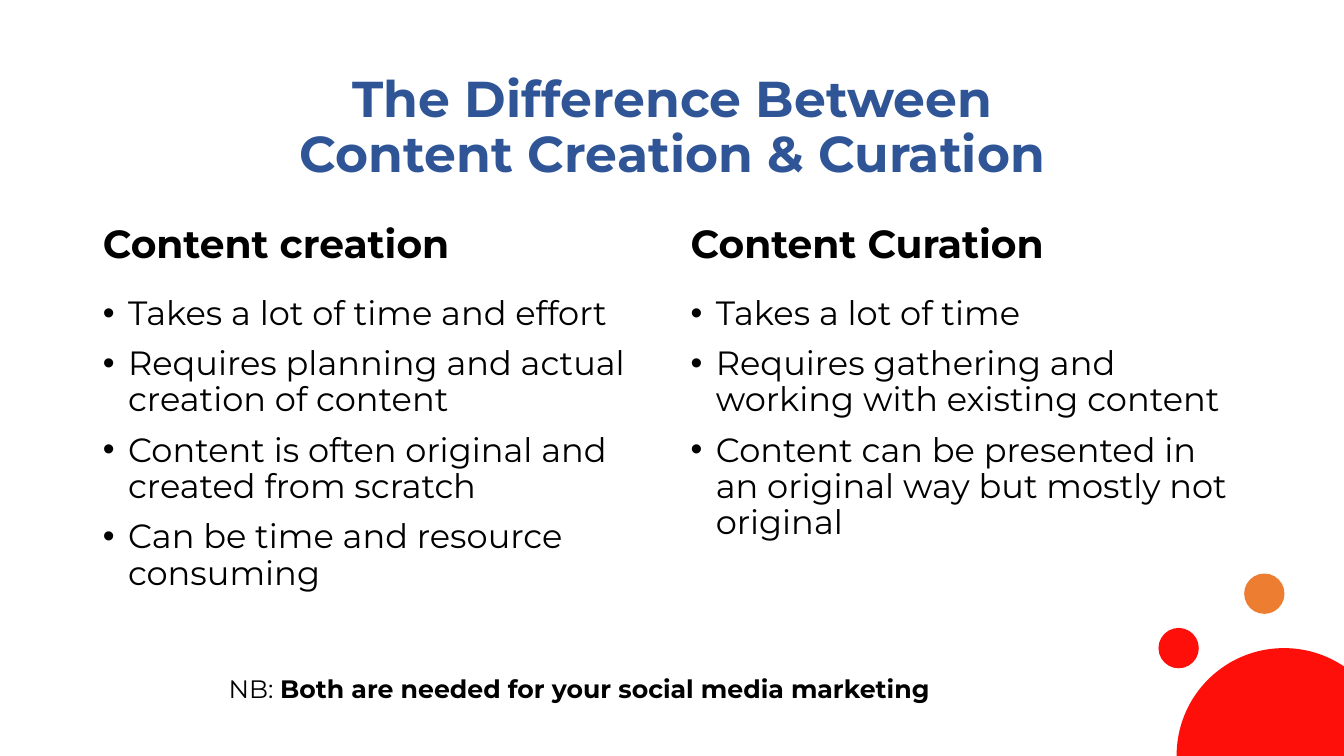
from lxml import etree
from pptx import Presentation
from pptx.dml.color import RGBColor
from pptx.enum.shapes import MSO_SHAPE
from pptx.enum.text import MSO_ANCHOR, MSO_AUTO_SIZE, PP_ALIGN
from pptx.oxml.ns import qn
from pptx.util import Inches, Pt

OVAL = MSO_SHAPE.OVAL
TOP, MIDDLE, BOTTOM = MSO_ANCHOR.TOP, MSO_ANCHOR.MIDDLE, MSO_ANCHOR.BOTTOM
CENTER, LEFT = PP_ALIGN.CENTER, PP_ALIGN.LEFT
NO_FIT = MSO_AUTO_SIZE.NONE
COMPARISON_LAYOUT = 4
FONT = "Montserrat"
COLORS = {"title": "2F5597", "text": "000000", "red": "FE0F09", "orange": "ED7D31"}

TITLE_LINES = ["The Difference Between", "Content Creation & Curation"]
# left, width, heading, points
COLUMNS = [
    (0.92, 5.64, "Content creation", [
        "Takes a lot of time and effort",
        "Requires planning and actual creation of content",
        "Content is often original and created from scratch",
        "Can be time and resource consuming",
    ]),
    (6.75, 5.67, "Content Curation", [
        "Takes a lot of time",
        "Requires gathering and working with existing content",
        "Content can be presented in an original way but mostly not original",
    ]),
]
# left, top, diameter, color
CIRCLES = [
    (11.67, 6.43, 2.13, "red"),
    (11.49, 6.23, 0.4, "red"),
    (12.34, 5.69, 0.4, "orange"),
]


def place(shape, left, top, width, height, anchor):
    """Move a text shape and return its prepared text frame."""
    shape.left, shape.top = Inches(left), Inches(top)
    shape.width, shape.height = Inches(width), Inches(height)
    frame = shape.text_frame
    frame.word_wrap = True
    frame.auto_size = NO_FIT
    frame.vertical_anchor = anchor
    return frame


def add_span(para, text, size, bold=False, color="text"):
    span = para.add_run()
    span.text = text
    span.font.name = FONT
    span.font.size = Pt(size)
    span.font.bold = bold
    span.font.color.rgb = RGBColor.from_string(COLORS[color])


def set_spacing(para, before=0, align=LEFT):
    para.line_spacing = 0.9
    para.space_before = Pt(before)
    para.alignment = align


def add_bullet(para):
    properties = para._p.get_or_add_pPr()
    properties.set("marL", str(Inches(0.25)))
    properties.set("indent", str(-Inches(0.25)))
    font = etree.SubElement(properties, qn("a:buFont"))
    font.set("typeface", "Arial")
    bullet = etree.SubElement(properties, qn("a:buChar"))
    bullet.set("char", "•")


def fill_title(shape):
    frame = place(shape, 0.92, 0.26, 11.5, 2.03, MIDDLE)
    para = frame.paragraphs[0]
    set_spacing(para, align=CENTER)
    for index, line in enumerate(TITLE_LINES):
        if index:
            para.add_line_break()
        add_span(para, line, 36, True, "title")


def fill_column(heading_shape, list_shape, left, width, heading, points):
    frame = place(heading_shape, left, 1.8, width, 0.9, BOTTOM)
    para = frame.paragraphs[0]
    set_spacing(para)
    add_span(para, heading, 28, True)

    frame = place(list_shape, left, 2.89, width, 4.03, TOP)
    for index, point in enumerate(points):
        para = frame.add_paragraph() if index else frame.paragraphs[0]
        add_bullet(para)
        set_spacing(para, before=10 if index else 0)
        add_span(para, point, 24)


def add_circle(page, left, top, diameter, color):
    circle = page.shapes.add_shape(
        OVAL, Inches(left), Inches(top), Inches(diameter), Inches(diameter))
    circle.shadow.inherit = False
    circle.fill.solid()
    circle.fill.fore_color.rgb = RGBColor.from_string(COLORS[color])
    circle.line.fill.background()


def add_note(page):
    box = page.shapes.add_textbox(0, 0, 0, 0)
    para = place(box, 2.17, 6.63, 9.52, 0.4, TOP).paragraphs[0]
    add_span(para, "NB: ", 18)
    add_span(para, "Both are needed for your social media marketing", 18, True)


def main():
    deck = Presentation()
    deck.slide_width, deck.slide_height = Inches(13.33), Inches(7.5)
    page = deck.slides.add_slide(deck.slide_layouts[COMPARISON_LAYOUT])
    title, *bodies = page.placeholders
    fill_title(title)
    for heading_shape, list_shape, column in zip(bodies[::2], bodies[1::2], COLUMNS):
        fill_column(heading_shape, list_shape, *column)
    for circle in CIRCLES:
        add_circle(page, *circle)
    add_note(page)
    deck.save("out.pptx")


if __name__ == "__main__":
    main()
